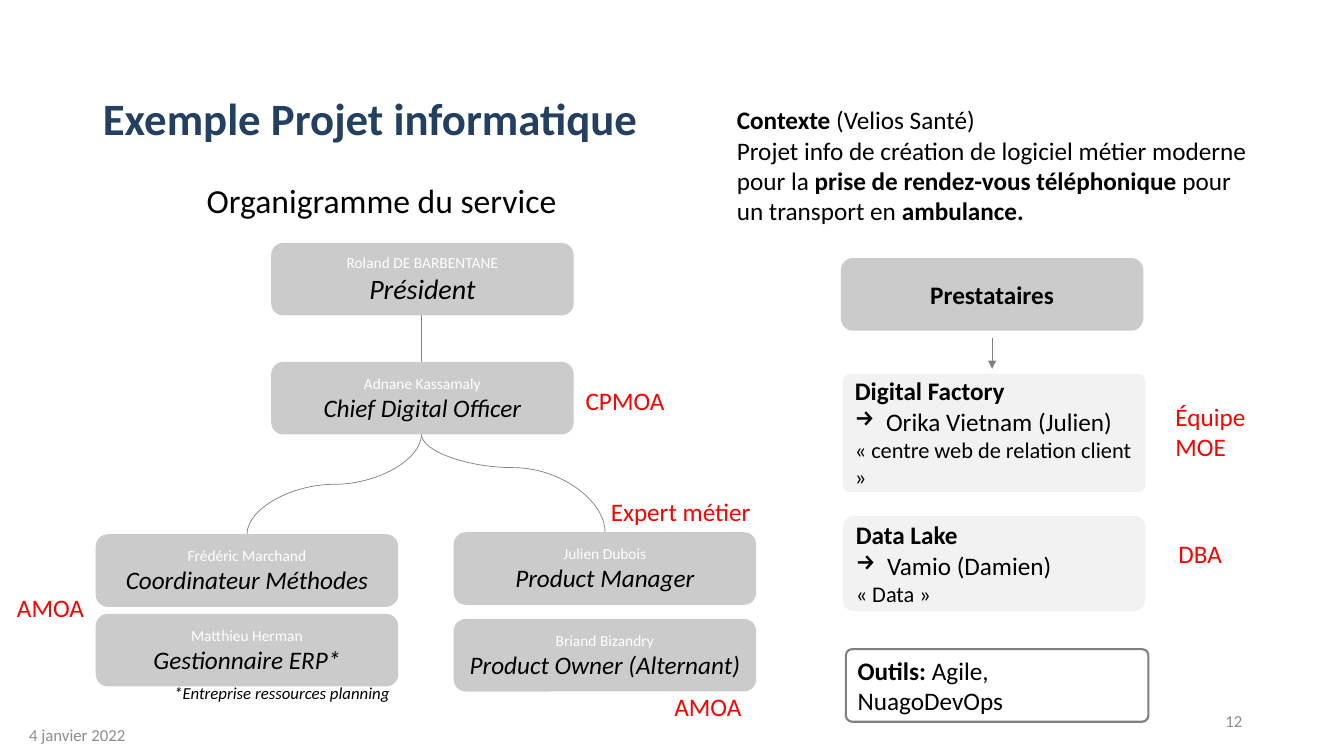
from lxml import etree
from pptx import Presentation
from pptx.dml.color import RGBColor
from pptx.enum import shapes, text
from pptx.oxml.ns import qn
from pptx.util import Inches, Pt

FONT = "Calibri"
BLACK, WHITE, RED = "000000", "FFFFFF", "FF0000"
GREY, PALE, LINE, FOOTER, NAVY = "CBCBCB", "F2F2F2", "808080", "8C8C8C", "244061"
LEFT, CENTER, RIGHT = text.PP_ALIGN.LEFT, text.PP_ALIGN.CENTER, text.PP_ALIGN.RIGHT
TOP, MIDDLE = text.MSO_ANCHOR.TOP, text.MSO_ANCHOR.MIDDLE
CARD_W, CARD_H = 3, 0.72


def rgb(color):
    """Turn a hex string into a colour."""
    return RGBColor.from_string(color)


def sub(parent, tag, **attrs):
    """Append a DrawingML element."""
    node = etree.SubElement(parent, qn(tag))
    for name, value in attrs.items():
        node.set(name, value)
    return node


def write(tf, paragraphs, align=LEFT, anchor=TOP):
    """Fill a frame with paragraphs made of (text, size, colour, style) runs."""
    tf.word_wrap = True
    tf.auto_size = text.MSO_AUTO_SIZE.NONE
    tf.vertical_anchor = anchor
    for i, runs in enumerate(paragraphs):
        p = tf.add_paragraph() if i else tf.paragraphs[0]
        p.alignment = align
        for content, size, color, style in runs:
            r = p.add_run()
            r.text = content
            r.font.name, r.font.size = FONT, Pt(size)
            r.font.bold, r.font.italic = "b" in style, "i" in style
            r.font.color.rgb = rgb(color)


def add_text(slide, box, paragraphs, align=LEFT, anchor=TOP):
    """Add a text box."""
    sp = slide.shapes.add_textbox(*map(Inches, box))
    write(sp.text_frame, paragraphs, align, anchor)


def add_tag(slide, x, y, label, w=1.23, h=0.4):
    """Add a red role label."""
    add_text(slide, (x, y, w, h), [[(label, 18, RED, "")]])


def add_card(slide, box, paragraphs, fill=GREY, align=CENTER, adj=0.167):
    """Add a rounded card, outlined when it has no fill."""
    sp = slide.shapes.add_shape(shapes.MSO_SHAPE.ROUNDED_RECTANGLE, *map(Inches, box))
    sp.shadow.inherit = False
    sp.adjustments[0] = adj
    if fill:
        sp.fill.solid()
        sp.fill.fore_color.rgb = rgb(fill)
        sp.line.fill.background()
    else:
        sp.fill.background()
        sp.line.color.rgb = rgb(LINE)
        sp.line.width = Pt(1.5)
    write(sp.text_frame, paragraphs, align, MIDDLE)
    return sp


def add_line(slide, kind, x1, y1, x2, y2, arrow=False):
    """Add a thin grey connector."""
    c = slide.shapes.add_connector(kind, *map(Inches, (x1, y1, x2, y2)))
    c.line.color.rgb = rgb(LINE)
    c.line.width = Pt(0.5)
    spPr = c._element.spPr
    if arrow:
        sub(spPr.find(qn("a:ln")), "a:tailEnd", type="triangle")
    sub(spPr, "a:effectLst")
    return spPr


def add_branch(slide, x1, y1, x2, y2, bend):
    """Add a curve that leaves and arrives vertically."""
    cx, cy = (x1 + x2) / 2, (y1 + y2) / 2
    half_w, half_h = (y2 - y1) / 2, abs(x2 - x1) / 2
    spPr = add_line(slide, shapes.MSO_CONNECTOR.CURVE,
                    cx - half_w, cy - half_h, cx + half_w, cy + half_h)
    xfrm = spPr.find(qn("a:xfrm"))
    xfrm.set("rot", str((90 if x2 < x1 else 270) * 60000))
    if x2 > x1:
        xfrm.set("flipH", "1")
    guides = spPr.find(qn("a:prstGeom")).find(qn("a:avLst"))
    sub(guides, "a:gd", name="adj1", fmla=f"val {round(bend * 100000)}")


def heading(slide, x, y):
    """Place the title and the subtitle in their placeholders."""
    title, body = slide.shapes.title, slide.placeholders[1]
    for sp, box, run, anchor in (
            (title, (x, y, 10.42, 1.58), ("Exemple Projet informatique", 32, NAVY, "b"), MIDDLE),
            (body, (x + 1.03, y + 1.37, 6, 0.6), ("Organigramme du service", 24, BLACK, ""), TOP)):
        sp.left, sp.top, sp.width, sp.height = map(Inches, box)
        write(sp.text_frame, [[run]], LEFT, anchor)
        sp.text_frame.paragraphs[0].line_spacing = 0.9
    p = body.text_frame.paragraphs[0]
    p.space_before = Pt(10)
    pPr = p._p.get_or_add_pPr()
    pPr.set("marL", "0")
    pPr.set("indent", "0")
    sub(pPr, "a:buNone")


def context(slide, x, y):
    """Describe the context of the project."""
    add_text(slide, (x, y, 5.31, 1.31), [
        [("Contexte ", 18, BLACK, "b"), ("(Velios Santé)", 18, BLACK, "")],
        [("Projet info de création de logiciel métier moderne pour la ", 18, BLACK, ""),
         ("prise de rendez-vous téléphonique ", 18, BLACK, "b"),
         ("pour un transport en ", 18, BLACK, ""), ("ambulance.", 18, BLACK, "b")]])


def org_chart(slide, x, y):
    """Draw the organisation chart with its role labels."""
    head_x, right_x = x + 1.74, x + 3.55
    axis = x + 3.23
    officer_y, left_y, right_y = y + 1.18, y + 2.89, y + 2.87
    officer_end = officer_y + CARD_H
    add_line(slide, shapes.MSO_CONNECTOR.STRAIGHT, axis, y + CARD_H, axis, officer_y)
    add_branch(slide, axis, officer_end, x + 1.5, left_y, 0.5)
    add_branch(slide, axis, officer_end, right_x + 1.5, right_y, 0.34)
    for cx, cy, name, job, size in (
            (head_x, y, "Roland DE BARBENTANE", "Président", 20),
            (head_x, officer_y, "Adnane Kassamaly", "Chief Digital Officer", 18),
            (x, left_y, "Frédéric Marchand", "Coordinateur Méthodes", 18),
            (x, left_y + 0.79, "Matthieu Herman", "Gestionnaire ERP*", 18),
            (right_x, right_y, "Julien Dubois", "Product Manager", 18),
            (right_x, right_y + 0.86, "Briand Bizandry", "Product Owner (Alternant)", 18)):
        add_card(slide, (cx, cy, CARD_W, CARD_H),
                 [[(name, 11, WHITE, "")], [(job, size, BLACK, "i")]])
    add_text(slide, (x + 0.68, y + 4.31, 2.6, 0.3),
             [[("*Entreprise ressources planning", 12, BLACK, "i")]])
    add_tag(slide, x + 4.76, y + 1.36, "CPMOA")
    add_tag(slide, x + 5.01, y + 2.46, "Expert métier", 1.66)
    add_tag(slide, x - 0.88, y + 3.42, "AMOA")
    add_tag(slide, x + 5.64, y + 4.4, "AMOA")


def providers(slide, x, y):
    """Draw the service providers, their labels and the tools."""
    add_card(slide, (x, y, CARD_W, CARD_H), [[("Prestataires", 18, BLACK, "b")]])
    add_line(slide, shapes.MSO_CONNECTOR.STRAIGHT,
             x + 1.5, y + 0.79, x + 1.5, y + 1.1, arrow=True)
    for dy, h, adj, name, firm, note in (
            (1.15, 1.17, 0.06, "Digital Factory", "Orika Vietnam (Julien)",
             "« centre web de relation client »"),
            (2.56, 0.94, 0.11, "Data Lake", "Vamio (Damien)", "« Data »")):
        sp = add_card(slide, (x + 0.02, y + dy, CARD_W, h),
                      [[(name, 18, BLACK, "b")], [(firm, 18, BLACK, "")],
                       [(note, 16, BLACK, "")]], PALE, LEFT, adj)
        pPr = sp.text_frame.paragraphs[1]._p.get_or_add_pPr()
        pPr.set("marL", str(Inches(0.31)))
        pPr.set("indent", str(-Inches(0.31)))
        sub(pPr, "a:buChar", char="→")
    add_card(slide, (x + 0.05, y + 3.88, CARD_W, CARD_H),
             [[("Outils: ", 18, BLACK, "b"), ("Agile, NuagoDevOps", 18, BLACK, "")]],
             None, LEFT, 0.085)
    add_tag(slide, x + 3.22, y + 1.37, "Équipe MOE", h=0.71)
    add_tag(slide, x + 3.25, y + 2.73, "DBA")


def footer(slide, x, y):
    """Place the date and the slide number."""
    add_text(slide, (x, y + 0.14, 3, 0.4), [[("4 janvier 2022", 12, FOOTER, "")]], LEFT, MIDDLE)
    add_text(slide, (x + 9.23, y, 3, 0.4), [[("12", 12, FOOTER, "")]], RIGHT, MIDDLE)


def main():
    """Build the slide and save it."""
    prs = Presentation()
    prs.slide_width, prs.slide_height = Inches(13.33), Inches(7.5)
    slide = prs.slides.add_slide(prs.slide_layouts[1])
    heading(slide, 0.92, 0.41)
    context(slide, 7.21, 0.99)
    org_chart(slide, 0.95, 2.41)
    providers(slide, 8.34, 2.56)
    footer(slide, 0.19, 6.95)
    prs.save("out.pptx")


if __name__ == "__main__":
    main()
